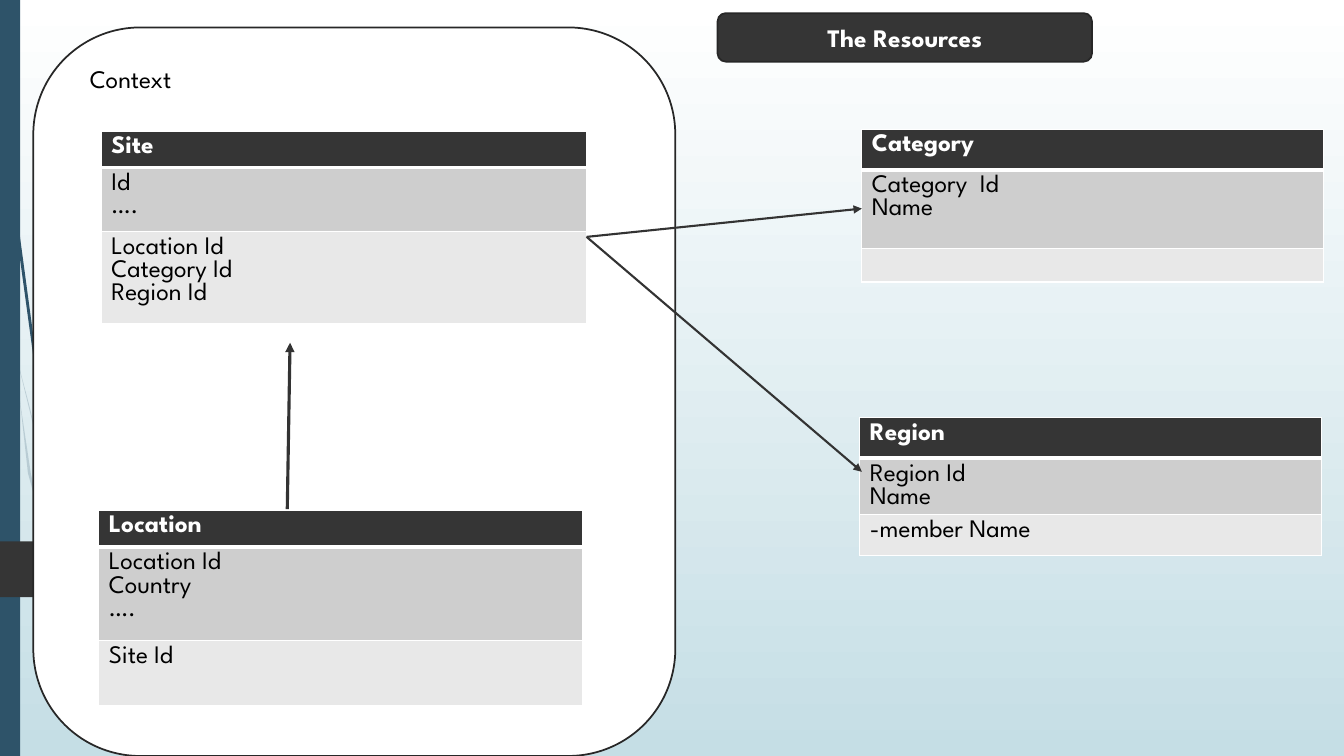
from lxml.etree import SubElement
from pptx import Presentation
from pptx.dml.color import RGBColor
from pptx.enum.shapes import MSO_CONNECTOR as CONN, MSO_SHAPE as SHAPE
from pptx.enum.text import MSO_ANCHOR as ANCHOR, PP_ALIGN as ALIGN
from pptx.oxml.ns import qn
from pptx.util import Pt

COLORS = {
    "dark": "353535", "outline": "272727", "arrow": "333333",
    "blue": "2E5369", "mist": "C5DEE5", "white": "FFFFFF",
    "black": "000000", "band": "CECECE", "pale": "E8E8E8",
}
FONT = "League Spartan"
WISPS = [
    ([(10, 248), (12, 271), (22, 338), (47, 447), (66, 499),
      (50, 447), (20, 338)], 20),
    ([(10, 248), (21, 290), (42, 376), (60, 431), (61, 422),
      (45, 374), (27, 317)], 20),
    ([(2, 0), (5, 79), (12, 168), (24, 256), (41, 346), (40, 326),
      (26, 256), (14, 167), (6, 78), (3, 0)], 100),
]
CLASSES = [
    ((615.6, 92.2, 329.8), (29.2, 56.4, 23.6),
     ("Category", "Category  Id\nName", "")),
    ((72.4, 93.6, 346.6), (26, 46, 65.5),
     ("Site", "Id\n….", "Location Id\nCategory Id\nRegion Id")),
    ((70.6, 364.3, 345.6), (26.5, 67, 46.5),
     ("Location", "Location Id\nCountry\n….", "Site Id")),
    ((614.2, 298.1, 329.8), (29.3, 40.3, 29.3),
     ("Region", "Region Id\nName", "-member Name")),
]
ARROWS = [
    ((205.2, 363.6), (207.2, 244.8), 2.25),
    ((419, 169.2), (615.6, 337), 1.5),
    ((419, 169.2), (615.6, 149), 1.5),
]


def rgb(name):
    return RGBColor.from_string(COLORS[name])


def add_text(tf, text, color="black", bold=False, align=ALIGN.LEFT):
    for i, line in enumerate(text.split("\n")):
        p = tf.add_paragraph() if i else tf.paragraphs[0]
        p.alignment = align
        if not line:
            p._p.get_or_add_endParaRPr().set("sz", "1200")
            continue
        r = p.add_run()
        r.text = line
        r.font.name, r.font.size, r.font.bold = FONT, Pt(18), bold
        r.font.color.rgb = rgb(color)


def paint(sp, fill, line=None):
    sp.shadow.inherit = False
    sp.fill.solid()
    sp.fill.fore_color.rgb = rgb(fill)
    if line:
        sp.line.color.rgb = rgb(line)
        sp.line.width = Pt(1.25)
    else:
        sp.line.fill.background()


def add_box(slide, kind, box, fill, line=None):
    sp = slide.shapes.add_shape(kind, *map(Pt, box))
    paint(sp, fill, line)
    return sp


def add_wisp(slide, x, y, points, opacity):
    points = [(Pt(x + dx), Pt(y + dy)) for dx, dy in points]
    builder = slide.shapes.build_freeform(*points[0], scale=1.0)
    builder.add_line_segments(points[1:], close=True)
    sp = builder.convert_to_shape()
    paint(sp, "blue")
    if opacity < 100:
        color = sp._element.spPr.find(qn("a:solidFill"))[0]
        SubElement(color, qn("a:alpha")).set("val", str(opacity * 1000))


def draw_edge(slide, x, y, height):
    fill = slide.background.fill
    fill.gradient()
    fill.gradient_angle = 270
    for stop, name, position in zip(fill.gradient_stops, ("white", "mist"), (0, 1)):
        stop.color.rgb = rgb(name)
        stop.position = position
    for points, opacity in WISPS:
        add_wisp(slide, x, y, points, opacity)
    add_box(slide, SHAPE.RECTANGLE, (x, y, 14.4, height), "blue")
    add_box(slide, SHAPE.PENTAGON, (x, y + 386.8, 125, 39.8), "dark")


def draw_context(slide, x, y, width, height):
    sp = add_box(slide, SHAPE.ROUNDED_RECTANGLE, (x, y, width, height),
                 "white", "outline")
    tf = sp.text_frame
    tf.word_wrap = True
    tf.vertical_anchor = ANCHOR.TOP
    tf.margin_left = Pt(18)
    add_text(tf, "Context")


def draw_title(slide, x, y, width, height):
    sp = add_box(slide, SHAPE.ROUNDED_RECTANGLE, (x, y, width, height),
                 "dark", "outline")
    sp.text_frame.vertical_anchor = ANCHOR.MIDDLE
    add_text(sp.text_frame, "The Resources", "white", True, ALIGN.CENTER)


def set_borders(cell, **widths):
    tcPr = cell._tc.get_or_add_tcPr()
    for side in "LRTB":
        ln = SubElement(tcPr, qn("a:ln" + side))
        ln.set("w", str(Pt(widths.get(side, 1))))
        fill = SubElement(ln, qn("a:solidFill"))
        SubElement(fill, qn("a:srgbClr")).set("val", COLORS["white"])


def draw_class(slide, x, y, width, heights, texts):
    table = slide.shapes.add_table(
        3, 1, Pt(x), Pt(y), Pt(width), Pt(sum(heights))).table
    fills = ("dark", "band", "pale")
    borders = ({"B": 3}, {"T": 3}, {})
    for i, (height, text) in enumerate(zip(heights, texts)):
        table.rows[i].height = Pt(height)
        cell = table.cell(i, 0)
        set_borders(cell, **borders[i])
        cell.fill.solid()
        cell.fill.fore_color.rgb = rgb(fills[i])
        add_text(cell.text_frame, text, "black" if i else "white", i == 0)


def draw_arrow(slide, start, end, width):
    line = slide.shapes.add_connector(CONN.STRAIGHT, *map(Pt, start + end))
    line.line.color.rgb = rgb("arrow")
    line.line.width = Pt(width)
    SubElement(line.line._get_or_add_ln(), qn("a:tailEnd")).set("type", "triangle")
    SubElement(line._element.spPr, qn("a:effectLst"))


def main():
    prs = Presentation()
    prs.slide_width, prs.slide_height = Pt(960), Pt(540)
    slide = prs.slides.add_slide(prs.slide_layouts[6])
    draw_edge(slide, 0, 0, 540)
    draw_context(slide, 23.8, 19.6, 458.6, 520.4)
    for box, heights, texts in CLASSES:
        draw_class(slide, *box, heights, texts)
    for start, end, width in ARROWS:
        draw_arrow(slide, start, end, width)
    draw_title(slide, 512.6, 9.4, 267.4, 34.6)
    prs.save("out.pptx")


if __name__ == "__main__":
    main()
